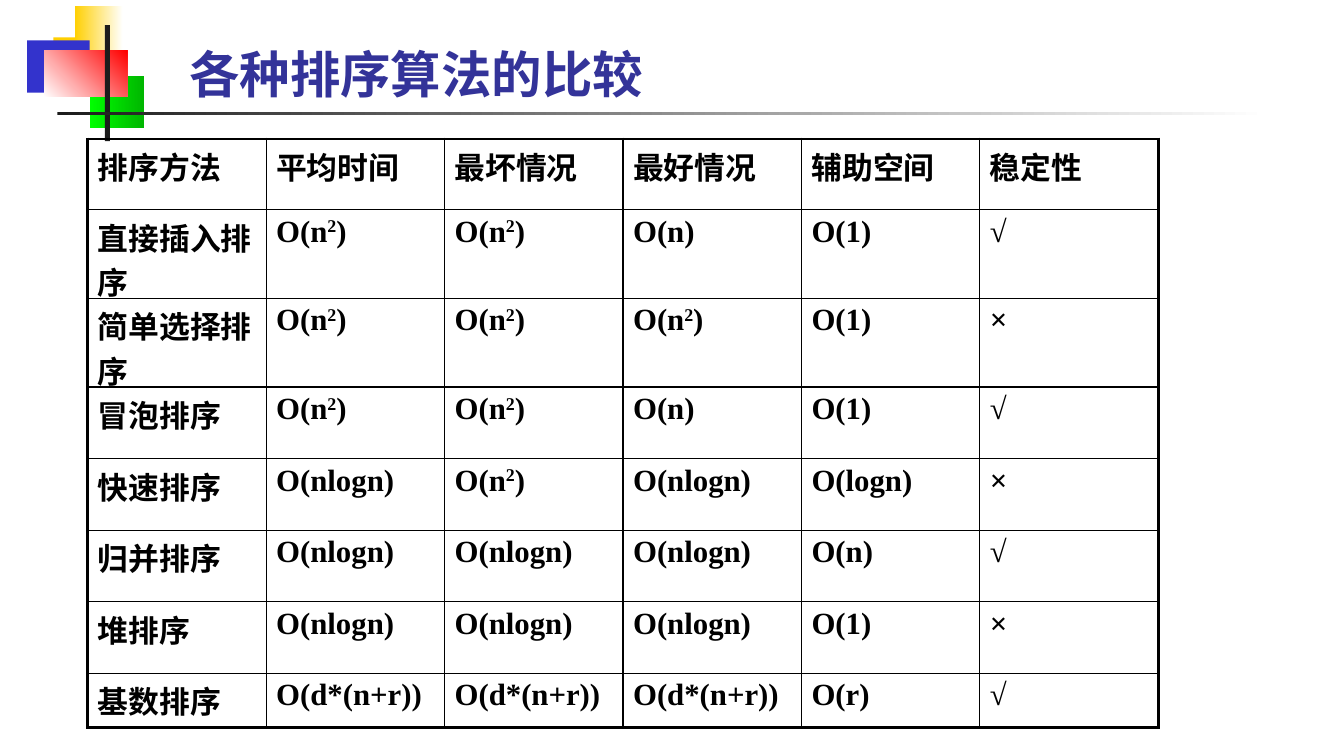
from dataclasses import dataclass

from lxml import etree
from pptx import Presentation
from pptx.dml.color import RGBColor
from pptx.enum.shapes import MSO_SHAPE
from pptx.enum.text import MSO_ANCHOR
from pptx.oxml.ns import qn
from pptx.util import Inches, Pt

RECTANGLE = MSO_SHAPE.RECTANGLE
BOTTOM = MSO_ANCHOR.BOTTOM


@dataclass(frozen=True)
class Theme:
    yellow: str = "FFCF01"
    blue: str = "3333CC"
    green: str = "00FF00"
    dark_green: str = "00B600"
    red: str = "FF0000"
    white: str = "FFFFFF"
    bar: str = "1C1C1C"
    title: str = "333399"
    ink: str = "000000"
    title_font: str = "Arial Narrow"
    table_font: str = "Times New Roman"
    title_size: float = 36
    table_size: float = 22
    outer_line: float = 2.25
    inner_line: float = 1


THEME = Theme()

# Each ornament: left, top, width, height, colours, gradient angle
ORNAMENTS = [
    (0.26, 0.31, 0.64, 0.52, [THEME.yellow], 0),
    (0.47, 0, 0.48, 0.52, [THEME.yellow, THEME.white], 0),
    (0, 0.34, 0.62, 0.52, [THEME.blue], 0),
    (0.62, 0.69, 0.54, 0.52, [THEME.green, THEME.dark_green], 0),
    (0.17, 0.44, 0.82, 0.46, [THEME.white, THEME.red], 45),
    (0.77, 0.19, 0.05, 1.15, [THEME.bar], 0),
    (0.3, 1.05, 12, 0.03, [THEME.bar, THEME.white], 0),
]

# "^2" marks a superscript
SORTS = [
    ["排序方法", "平均时间", "最坏情况", "最好情况", "辅助空间", "稳定性"],
    ["直接插入排序", "O(n^2)", "O(n^2)", "O(n)", "O(1)", "√"],
    ["简单选择排序", "O(n^2)", "O(n^2)", "O(n^2)", "O(1)", "×"],
    ["冒泡排序", "O(n^2)", "O(n^2)", "O(n)", "O(1)", "√"],
    ["快速排序", "O(nlogn)", "O(n^2)", "O(nlogn)", "O(logn)", "×"],
    ["归并排序", "O(nlogn)", "O(nlogn)", "O(nlogn)", "O(n)", "√"],
    ["堆排序", "O(nlogn)", "O(nlogn)", "O(nlogn)", "O(1)", "×"],
    ["基数排序", "O(d*(n+r))", "O(d*(n+r))", "O(d*(n+r))", "O(r)", "√"],
]
ROW_HEIGHTS = [0.7, 0.88, 0.88, 0.71, 0.71, 0.71, 0.71, 0.54]


def style_font(font, name, size, color):
    font.name = name
    font.size = Pt(size)
    font.bold = True
    font.color.rgb = RGBColor.from_string(color)


def add_ornaments(slide, left, top):
    """Coloured blocks and crossing bars, placed from their top left corner."""
    for x, y, width, height, colors, angle in ORNAMENTS:
        block = slide.shapes.add_shape(
            RECTANGLE, Inches(left + x), Inches(top + y), Inches(width), Inches(height))
        block.shadow.inherit = False
        block.line.fill.background()
        if len(colors) == 1:
            block.fill.solid()
            block.fill.fore_color.rgb = RGBColor.from_string(colors[0])
        else:
            block.fill.gradient()
            block.fill.gradient_angle = angle
            for stop, color in zip(block.fill.gradient_stops, colors):
                stop.color.rgb = RGBColor.from_string(color)


def add_title(slide, text, left, top, width, height):
    title = slide.shapes.add_textbox(
        Inches(left), Inches(top), Inches(width), Inches(height))
    frame = title.text_frame
    frame.word_wrap = True
    frame.vertical_anchor = BOTTOM
    heading = frame.paragraphs[0]
    heading.text = text
    style_font(heading.font, THEME.title_font, THEME.title_size, THEME.title)


def set_borders(cell, widths):
    """Draw the cell's sides; widths maps lnL, lnR, lnT, lnB to points."""
    properties = cell._tc.get_or_add_tcPr()
    for side, width in widths.items():
        line = etree.SubElement(properties, qn(f"a:{side}"), w=str(Pt(width)))
        fill = etree.SubElement(line, qn("a:solidFill"))
        etree.SubElement(fill, qn("a:srgbClr"), val=THEME.ink)


def write_entry(cell, entry):
    paragraph = cell.text_frame.paragraphs[0]
    base, power, rest = entry.partition("^2")
    paragraph.add_run().text = base
    if power:
        exponent = paragraph.add_run()
        exponent.text = power[1:]
        exponent.font._element.set("baseline", "30000")
        paragraph.add_run().text = rest
    style_font(paragraph.font, THEME.table_font, THEME.table_size, THEME.ink)


def add_comparison(slide, left, top, width):
    """Table of sorting methods with a heavy frame and thin inner lines."""
    last_row, last_column = len(SORTS) - 1, len(SORTS[0]) - 1
    table = slide.shapes.add_table(
        len(SORTS), len(SORTS[0]), Inches(left), Inches(top),
        Inches(width), Inches(sum(ROW_HEIGHTS))).table
    table.first_row = False
    table.horz_banding = False
    for row, height in zip(table.rows, ROW_HEIGHTS):
        row.height = Inches(height)
    for r, entries in enumerate(SORTS):
        for c, entry in enumerate(entries):
            cell = table.cell(r, c)
            on_frame = {"lnL": c == 0, "lnR": c == last_column,
                        "lnT": r == 0, "lnB": r == last_row}
            set_borders(cell, {side: THEME.outer_line if outer else THEME.inner_line
                               for side, outer in on_frame.items()})
            cell.fill.background()
            write_entry(cell, entry)


def main():
    deck = Presentation()
    deck.slide_width = Inches(13.33)
    deck.slide_height = Inches(7.5)
    slide = deck.slides.add_slide(deck.slide_layouts[6])
    add_ornaments(slide, 0.27, 0.06)
    add_title(slide, "各种排序算法的比较", 1.78, 0.25, 5.04, 0.83)
    add_comparison(slide, 0.87, 1.38, 10.62)
    deck.save("out.pptx")


if __name__ == "__main__":
    main()
